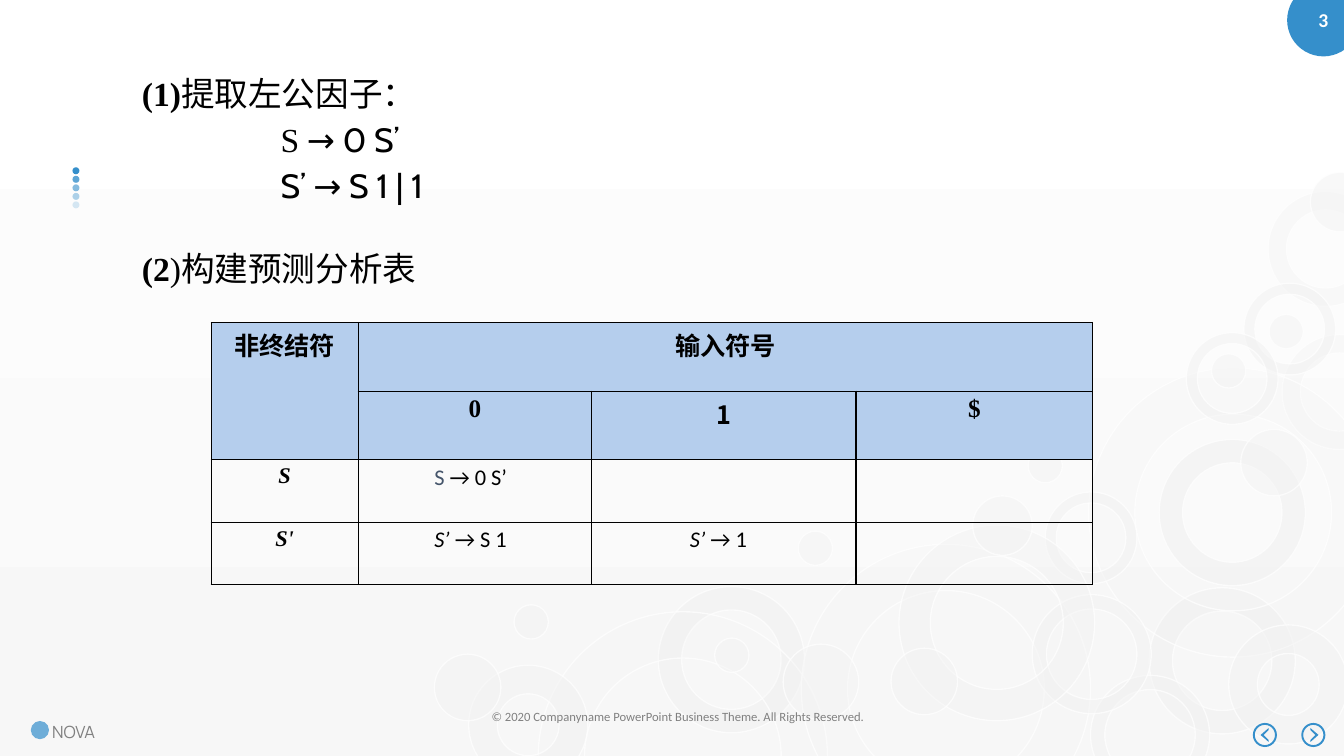
from lxml.etree import SubElement
from pptx import Presentation
from pptx.dml.color import RGBColor
from pptx.enum.shapes import MSO_SHAPE
from pptx.enum.text import MSO_ANCHOR, PP_ALIGN
from pptx.oxml.ns import qn
from pptx.util import Pt

BLUE = RGBColor(0x35, 0x8F, 0xCB)
PALE_BLUE = RGBColor(0xB5, 0xCE, 0xED)
SLATE = RGBColor(0x44, 0x54, 0x6A)
GREY = RGBColor(0x80, 0x80, 0x80)
PALE_GREY = RGBColor(0xF2, 0xF2, 0xF2)
OFF_WHITE = RGBColor(0xF7, 0xF7, 0xF7)
WHITE = RGBColor(0xFF, 0xFF, 0xFF)
BLACK = RGBColor(0, 0, 0)
SERIF, SANS, CABIN, CJK = "Times New Roman", "Calibri", "Cabin", "Noto Sans CJK SC"

deck = Presentation()
deck.slide_width, deck.slide_height = Pt(960), Pt(540)
page = deck.slides.add_slide(deck.slide_layouts[6])
backdrop = page.background.fill
backdrop.gradient()
backdrop.gradient_angle = 270
for stop, color in zip(backdrop.gradient_stops, (WHITE, OFF_WHITE)):
    stop.color.rgb = color


def add_disc(left, top, size, color, alpha=100, ring=0, outlined=False):
    preset = MSO_SHAPE.DONUT if ring else MSO_SHAPE.OVAL
    disc = page.shapes.add_shape(preset, Pt(left), Pt(top), Pt(size), Pt(size))
    disc.shadow.inherit = False
    if ring:
        disc.adjustments[0] = ring
    disc.fill.solid()
    disc.fill.fore_color.rgb = color
    properties = disc._element.spPr
    fill_color = properties.find(qn("a:solidFill")).find(qn("a:srgbClr"))
    SubElement(fill_color, qn("a:alpha"), val=str(alpha * 1000))
    if outlined:
        disc.line.color.rgb = WHITE
        disc.line.width = Pt(1)
        line_color = properties.find(qn("a:ln")).find(".//" + qn("a:srgbClr"))
        SubElement(line_color, qn("a:alpha"), val="70000")
    else:
        disc.line.fill.background()
    return disc


def write(para, words, face, size, color=BLACK, bold=False, italic=False):
    span = para.add_run()
    span.text = words
    span.font.name = face
    span.font.size = Pt(size)
    span.font.color.rgb = color
    span.font.bold = bold
    span.font.italic = italic
    SubElement(span.font._element, qn("a:ea"), typeface=CJK)


for step in range(5):
    add_disc(51.8, 119.5 + 6.1 * step, 5, BLUE, 100 - 20 * step)

bubbles = [
    (104.4, 0.16, 75, [(828, 313.9), (470.2, 419), (820.8, 419.8)]),
    (82.1, 0.16, 31, [(915.8, 239), (905.8, 136.8)]),
    (206.6, 0.16, 13, [(384.5, 437), (572.4, 388.8), (777.6, 262.8)]),
    (85, 0.12, 54, [(779, 482.4), (737.3, 424.8)]),
    (65.5, 0.12, 54, [(888.5, 202.3), (746.6, 351.4), (847.4, 237.6)]),
    (139.7, 0.16, 42, [(642.2, 375.1)]),
    (85, 0.24, 54, [(877.7, 446.4), (334.8, 475.2)]),
    (47.5, 0, 47, [(886.3, 306.7), (310.3, 467.3), (636.5, 463)]),
    (24.5, 0, 47, [(865.4, 252.7), (570.2, 379.4), (510.5, 455.8),
                   (734.4, 320.4), (906.5, 224.6), (367.2, 432)]),
    (42.5, 0, 47, [(694.8, 354.2), (936, 123.1)]),
    (54, 0, 39, [(559.4, 460.1)]),
]
for size, ring, alpha, corners in bubbles:
    for left, top in corners:
        add_disc(left, top, size, PALE_GREY, alpha, ring, outlined=True)

add_disc(22, 515, 13, BLUE, 70)
brand = page.shapes.add_textbox(Pt(30.2), Pt(511.9), Pt(49), Pt(21.6))
brand.text_frame.word_wrap = False
write(brand.text_frame.paragraphs[0], "NOVA", "Manrope", 12, GREY)

chevron = [(0, 8.6), (3.6, 5), (0, 1.4), (0, 0), (5.8, 5), (0, 10)]
for ring_left, back, direction in ((894.9, 906.2, -1), (929.5, 936, 1)):
    add_disc(ring_left, 516.4, 17.2, BLUE, ring=0.08)
    points = [(Pt(back + direction * x), Pt(520 + y)) for x, y in chevron]
    builder = page.shapes.build_freeform(*points[0], scale=1.0)
    builder.add_line_segments(points[1:], close=True)
    arrow = builder.convert_to_shape()
    arrow.shadow.inherit = False
    arrow.fill.solid()
    arrow.fill.fore_color.rgb = BLUE
    arrow.line.fill.background()

footer = page.shapes.add_textbox(Pt(244), Pt(502.6), Pt(480), Pt(18))
footer.text_frame.word_wrap = True
para = footer.text_frame.paragraphs[0]
para.alignment = PP_ALIGN.CENTER
write(para, "© 2020 Companyname PowerPoint Business Theme. All Rights Reserved.", SANS, 9, GREY)

badge = add_disc(919.4, -11.5, 51.8, BLUE)
badge.text_frame.vertical_anchor = MSO_ANCHOR.MIDDLE
para = badge.text_frame.paragraphs[0]
para.alignment = PP_ALIGN.CENTER
write(para, "3", SANS, 14, WHITE, bold=True)

steps = [
    (174.2, 35.3, [(27, -27, [("(2", SERIF, True), (")构建预测分析表", SERIF, False)])]),
    (49.7, 103.7, [
        (27, -27, [("(1)", SERIF, True), ("提取左公因子：", SERIF, False)]),
        (99, 0, [("S", SERIF, False), (" → 0 S’", CABIN, False)]),
        (99, 0, [("S’ → S 1 | 1", CABIN, False)]),
    ]),
]
for top, height, lines in steps:
    box = page.shapes.add_textbox(Pt(94.3), Pt(top), Pt(686), Pt(height))
    frame = box.text_frame
    frame.word_wrap = True
    for number, (margin, indent, runs) in enumerate(lines):
        para = frame.add_paragraph() if number else frame.paragraphs[0]
        para.line_spacing = Pt(28)
        if number:
            para.space_before = Pt(4.8)
        properties = para._p.get_or_add_pPr()
        properties.set("marL", str(Pt(margin)))
        properties.set("indent", str(Pt(indent)))
        for words, face, bold in runs:
            write(para, words, face, 24, bold=bold)

table = page.shapes.add_table(4, 4, Pt(150.8), Pt(230.4), Pt(629.8), Pt(187.4)).table
table.first_row = table.horz_banding = False
for column, width in zip(table.columns, (105, 167, 188.6, 169.2)):
    column.width = Pt(width)
for row, height in zip(table.rows, (49, 49, 44.7, 44.7)):
    row.height = Pt(height)
table.cell(0, 0).merge(table.cell(1, 0))
table.cell(0, 1).merge(table.cell(0, 3))

for row in range(4):
    for column in range(4):
        cell = table.cell(row, column)
        cell.margin_left = cell.margin_right = Pt(14.4)
        cell.margin_top = cell.margin_bottom = Pt(2.9)
        properties = cell._tc.get_or_add_tcPr()
        for side in ("lnL", "lnR", "lnT", "lnB"):
            border = SubElement(properties, qn("a:" + side), w=str(Pt(1)))
            SubElement(SubElement(border, qn("a:solidFill")), qn("a:srgbClr"), val=str(BLACK))
        if row < 2:
            cell.fill.solid()
            cell.fill.fore_color.rgb = PALE_BLUE
        else:
            cell.fill.background()

headings = [(0, 0, "非终结符", CJK, 18, False), (0, 1, "输入符号", CJK, 18, False),
            (1, 1, "0", SERIF, 18, False), (1, 2, "1", CJK, 18, False),
            (1, 3, "$", SERIF, 18, False), (2, 0, "S", SERIF, 16, True),
            (3, 0, "S'", SERIF, 16, True)]
for row, column, words, face, size, italic in headings:
    para = table.cell(row, column).text_frame.paragraphs[0]
    para.alignment = PP_ALIGN.CENTER
    write(para, words, face, size, bold=True, italic=italic)

productions = [(2, 1, 40, "S", " → 0 S’", SLATE, False),
               (3, 1, 40, "S’ ", "→ S 1", BLACK, True),
               (3, 2, 55.6, "S’", " → 1", BLACK, True)]
for row, column, margin, head, body, color, italic in productions:
    para = table.cell(row, column).text_frame.paragraphs[0]
    para._p.get_or_add_pPr().set("marL", str(Pt(margin)))
    write(para, head, SANS, 16, color, italic=italic)
    write(para, body, SANS, 16)

deck.save("out.pptx")
